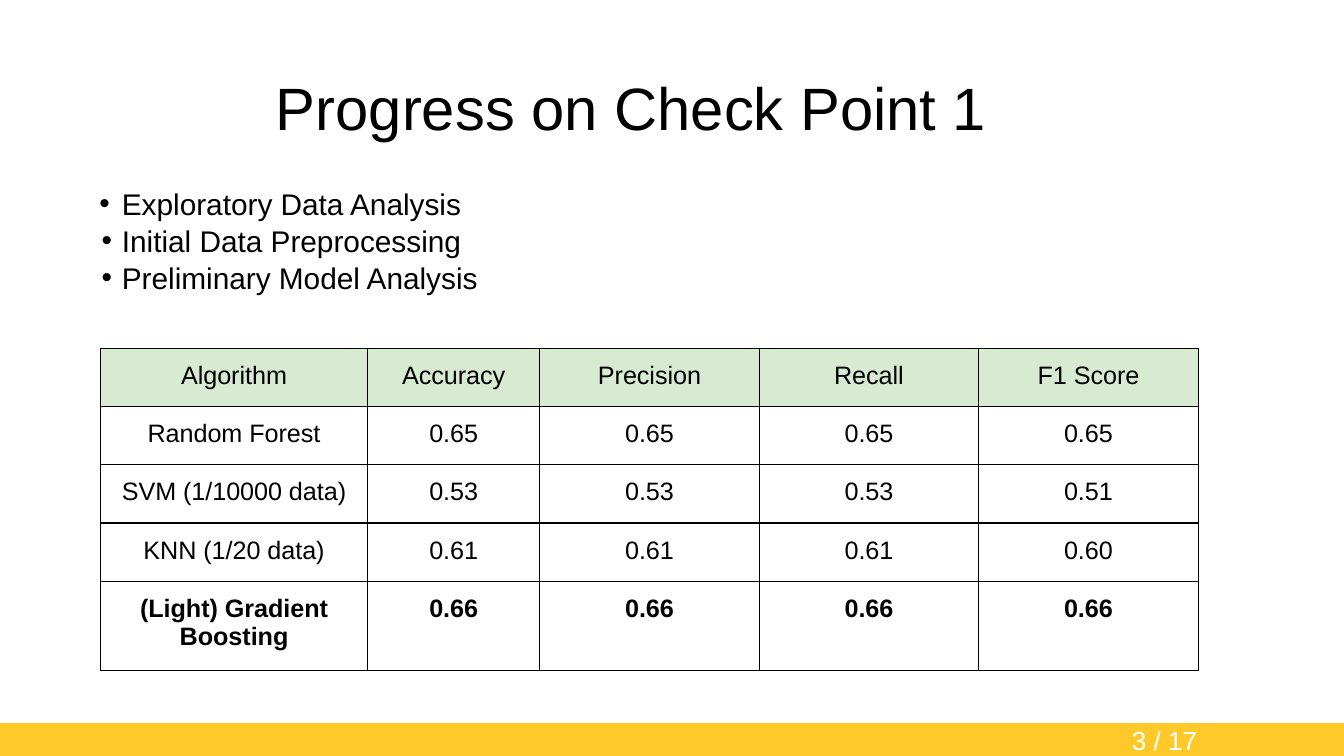
from dataclasses import dataclass

from pptx import Presentation
from pptx.dml.color import RGBColor as RGB
from pptx.enum.shapes import MSO_SHAPE as Preset
from pptx.enum.text import MSO_ANCHOR as Anchor, MSO_AUTO_SIZE as AutoSize, PP_ALIGN as Align
from pptx.oxml.ns import qn
from pptx.util import Pt
from lxml.etree import SubElement


@dataclass(frozen=True)
class Theme:
    font: str = "Arial"
    ink: str = "000000"
    paper: str = "FFFFFF"
    band: str = "FFCA29"
    header: str = "D9EAD3"
    title_size: float = 32
    body_size: float = 16
    page_size: float = 14
    table_size: float = 13.5
    border: float = 0.75


class SlideBuilder:
    def __init__(self, slide, theme):
        self.slide = slide
        self.theme = theme

    def place(self, shape, left, top, width, height):
        shape.left, shape.top = Pt(left), Pt(top)
        shape.width, shape.height = Pt(width), Pt(height)

    def frame(self, shape, anchor):
        frame = shape.text_frame
        frame.word_wrap = True
        frame.auto_size = AutoSize.NONE
        frame.vertical_anchor = anchor
        return frame

    def add_text(self, paragraph, text, size, color, align=Align.CENTER, bold=False):
        paragraph.alignment = align
        run = paragraph.add_run()
        run.text = text
        run.font.name = self.theme.font
        run.font.size = Pt(size)
        run.font.bold = bold
        run.font.color.rgb = RGB.from_string(color)

    def title(self, text, *box):
        heading = self.slide.shapes.title
        self.place(heading, *box)
        line = self.frame(heading, Anchor.MIDDLE).paragraphs[0]
        line.line_spacing = 0.9
        self.add_text(line, text, self.theme.title_size, self.theme.ink)

    def bullets(self, items, *box):
        body = self.slide.placeholders[1]
        self.place(body, *box)
        frame = self.frame(body, Anchor.TOP)
        for i, item in enumerate(items):
            line = frame.paragraphs[0] if i == 0 else frame.add_paragraph()
            props = line._p.get_or_add_pPr()
            props.set("marL", str(Pt(13.5)))
            props.set("indent", str(-Pt(10.8 if i else 12)))
            bullet_color = SubElement(props, qn("a:buClr"))
            SubElement(bullet_color, qn("a:srgbClr"), val=self.theme.ink)
            SubElement(props, qn("a:buFont"), typeface=self.theme.font)
            SubElement(props, qn("a:buChar"), char="•")
            line.line_spacing = 1.0 if i else 1.15
            line.space_before = Pt(0.6 if i else 0)
            self.add_text(line, item, self.theme.body_size, self.theme.ink, Align.LEFT)

    def bar(self, *box):
        band = self.slide.shapes.add_shape(Preset.RECTANGLE, *map(Pt, box))
        band.shadow.inherit = False
        band.fill.solid()
        band.fill.fore_color.rgb = RGB.from_string(self.theme.band)
        band.line.fill.background()

    def label(self, text, *box):
        page = self.slide.shapes.add_textbox(*map(Pt, box))
        line = self.frame(page, Anchor.MIDDLE).paragraphs[0]
        self.add_text(line, text, self.theme.page_size, self.theme.paper)

    def borders(self, cell):
        props = cell._tc.get_or_add_tcPr()
        for side in ("a:lnL", "a:lnR", "a:lnT", "a:lnB"):
            edge = SubElement(props, qn(side), w=str(Pt(self.theme.border)))
            fill = SubElement(edge, qn("a:solidFill"))
            SubElement(fill, qn("a:srgbClr"), val=self.theme.ink)

    def table(self, rows, left, top, widths, heights):
        box = (left, top, sum(widths), sum(heights))
        grid = self.slide.shapes.add_table(len(rows), len(widths), *map(Pt, box)).table
        grid.first_row = grid.horz_banding = False
        for column, width in zip(grid.columns, widths):
            column.width = Pt(width)
        for r, (row, height) in enumerate(zip(rows, heights)):
            grid.rows[r].height = Pt(height)
            for c, text in enumerate(row):
                cell = grid.cell(r, c)
                cell.margin_left = cell.margin_right = Pt(7.2)
                cell.margin_top = cell.margin_bottom = Pt(7.2)
                self.borders(cell)
                if r == 0:
                    cell.fill.solid()
                    cell.fill.fore_color.rgb = RGB.from_string(self.theme.header)
                else:
                    cell.fill.background()
                self.add_text(cell.text_frame.paragraphs[0], text, self.theme.table_size,
                              self.theme.ink, bold=r == len(rows) - 1)


def main():
    deck = Presentation()
    deck.slide_width, deck.slide_height = Pt(720), Pt(405)
    builder = SlideBuilder(deck.slides.add_slide(deck.slide_layouts[1]), Theme())

    # Heading and finished steps
    builder.title("Progress on Check Point 1", 29.5, 20.2, 617.8, 78.5)
    builder.bullets(["Exploratory Data Analysis", "Initial Data Preprocessing",
                     "Preliminary Model Analysis"], 44.6, 92.9, 617, 247.7)

    # Footer band with page number
    builder.bar(0, 387.4, 720, 18)
    builder.label("3 / 17", 593.3, 387.4, 61.2, 18)

    # Model scores
    scores = [
        ["Algorithm", "Accuracy", "Precision", "Recall", "F1 Score"],
        ["Random Forest", "0.65", "0.65", "0.65", "0.65"],
        ["SVM (1/10000 data)", "0.53", "0.53", "0.53", "0.51"],
        ["KNN (1/20 data)", "0.61", "0.61", "0.61", "0.60"],
        ["(Light) Gradient Boosting", "0.66", "0.66", "0.66", "0.66"],
    ]
    builder.table(scores, 53.8, 186.6, [143.2, 92.2] + [117.6] * 3, [31.2] * 4 + [48])

    deck.save("out.pptx")


if __name__ == "__main__":
    main()
